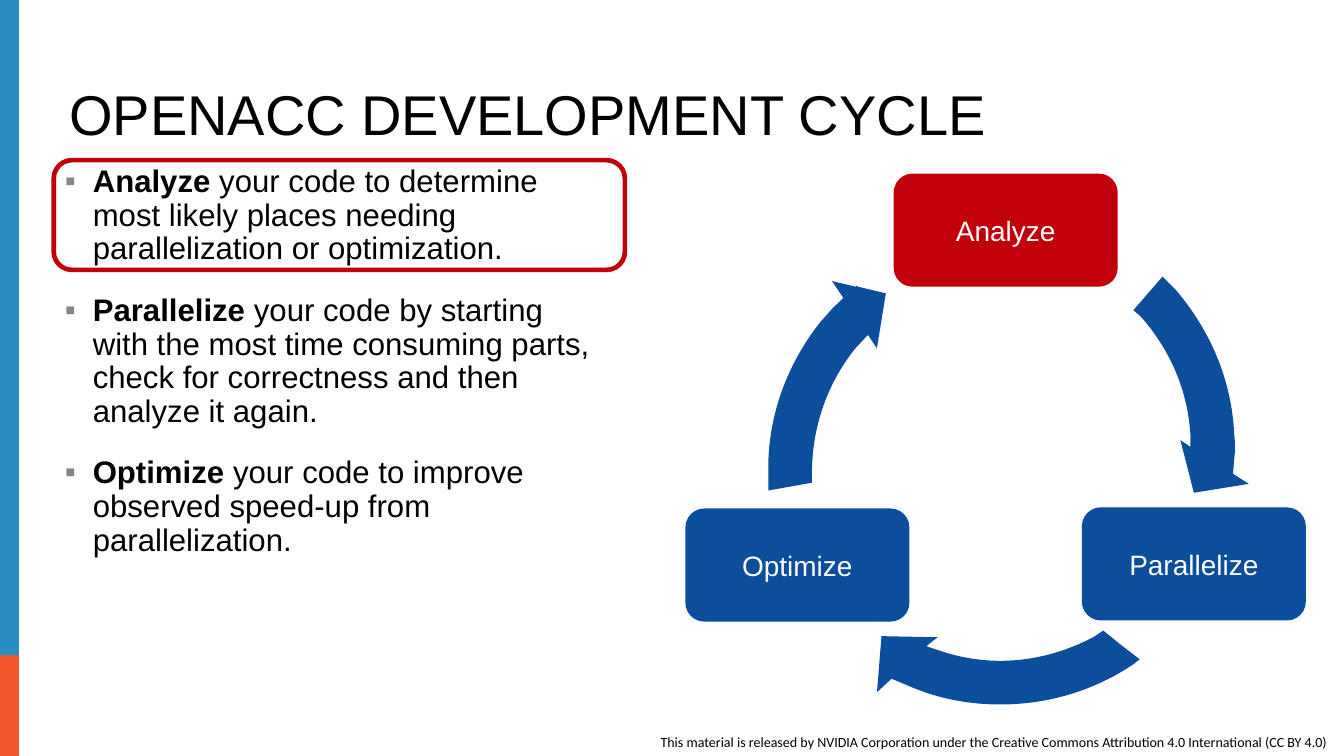
from math import cos, radians, sin
from typing import NamedTuple

from lxml import etree
from pptx import Presentation
from pptx.dml.color import RGBColor
from pptx.enum.shapes import MSO_SHAPE
from pptx.enum.text import MSO_ANCHOR, PP_ALIGN
from pptx.oxml.ns import qn
from pptx.util import Inches, Pt

RECTANGLE = MSO_SHAPE.RECTANGLE
ROUNDED = MSO_SHAPE.ROUNDED_RECTANGLE
CENTER = PP_ALIGN.CENTER
TOP, MIDDLE, BOTTOM = MSO_ANCHOR.TOP, MSO_ANCHOR.MIDDLE, MSO_ANCHOR.BOTTOM

COLORS = {
    "blue": "0C4E9B", "red": "C2000B", "sky": "298EC2", "orange": "F1562D",
    "bullet": "868686", "black": "000000", "white": "FFFFFF",
}


class Box(NamedTuple):
    left: float
    top: float
    width: float
    height: float


class Step(NamedTuple):
    name: str
    description: str
    left: float
    top: float
    color: str


class Arrow(NamedTuple):
    center: tuple
    rotation: float
    start: tuple
    segments: list  # two numbers: line to a point; six numbers: cubic curve


ANALYZE = Step("Analyze", " your code to determine most likely places needing "
               "parallelization or optimization.", 7.98, 1.55, "red")
PARALLELIZE = Step("Parallelize", " your code by starting with the most time consuming "
                   "parts, check for correctness and then analyze it again.",
                   9.66, 4.53, "blue")
OPTIMIZE = Step("Optimize", " your code to improve observed speed-up from "
                "parallelization.", 6.12, 4.54, "blue")

# Outlines as they lie on the slide, after rotation
ARROWS = [
    # Optimize to Analyze
    Arrow((7.36, 3.4), 347, (7.43, 2.51), [
        (7.64, 2.56), (7.65, 2.55), (7.66, 2.56),
        (7.91, 2.62), (7.83, 3.11), (7.75, 2.99), (7.63, 3.12),
        (7.37, 3.45, 7.25, 3.84, 7.25, 4.23), (7.25, 4.31), (6.86, 4.38), (6.86, 4.18),
        (6.86, 3.72, 7.02, 3.26, 7.33, 2.87), (7.38, 2.82, 7.42, 2.76, 7.48, 2.71),
        (7.53, 2.66)]),
    # Parallelize to Optimize
    Arrow((8.9, 5.95), 128, (9.85, 5.63), [
        (10.01, 5.76), (10.01, 5.76), (10.18, 5.89), (10.17, 5.89), (10.12, 5.93),
        (9.78, 6.16, 9.37, 6.29, 8.93, 6.29), (8.66, 6.29, 8.39, 6.24, 8.15, 6.14),
        (7.96, 6.06), (7.83, 6.18), (7.87, 5.68), (8.37, 5.69), (8.27, 5.77), (8.42, 5.82),
        (8.58, 5.87, 8.75, 5.9, 8.93, 5.9), (9.23, 5.9, 9.51, 5.82, 9.76, 5.69)]),
    # Analyze to Parallelize
    Arrow((10.64, 3.54), 311.4, (10.38, 2.47), [
        (10.5, 2.59),
        (10.8, 2.94, 11, 3.39, 11.02, 3.88), (11.03, 3.95, 11.03, 4.03, 11.02, 4.1),
        (11.01, 4.23), (11.15, 4.32), (10.66, 4.4), (10.54, 3.93), (10.63, 3.99), (10.63, 3.9),
        (10.61, 3.48, 10.44, 3.11, 10.18, 2.82), (10.12, 2.77)]),
]


def rgb(name: str) -> RGBColor:
    return RGBColor.from_string(COLORS[name])


def format_font(font, size: float, color: str, name: str = "Arial") -> None:
    font.size, font.name = Pt(size), name
    font.color.rgb = rgb(color)


def fill_shape(shape, color: str) -> None:
    shape.shadow.inherit = False
    shape.fill.solid()
    shape.fill.fore_color.rgb = rgb(color)
    shape.line.fill.background()


def add_block(slide, kind, box: Box, color: str):
    shape = slide.shapes.add_shape(kind, *map(Inches, box))
    fill_shape(shape, color)
    return shape


def add_text_box(slide, box: Box, anchor=TOP):
    text_frame = slide.shapes.add_textbox(*map(Inches, box)).text_frame
    text_frame.word_wrap = True
    text_frame.vertical_anchor = anchor
    return text_frame


def add_line_of_text(slide, box: Box, text: str, size: float, font: str, anchor=TOP) -> None:
    text_frame = add_text_box(slide, box, anchor)
    text_frame.text = text
    paragraph = text_frame.paragraphs[0]
    paragraph.line_spacing = 0.9 if anchor == BOTTOM else 1.0
    format_font(paragraph.runs[0].font, size, "black", font)


def add_bullet(paragraph) -> None:
    properties = paragraph._p.get_or_add_pPr()
    properties.set("marL", str(Inches(0.25)))
    properties.set("indent", str(Inches(-0.25)))
    color = etree.SubElement(properties, qn("a:buClr"))
    etree.SubElement(color, qn("a:srgbClr")).set("val", COLORS["bullet"])
    etree.SubElement(properties, qn("a:buFont")).set("typeface", "Arial")
    etree.SubElement(properties, qn("a:buChar")).set("char", "▪")


def add_descriptions(slide, box: Box, steps: list[Step]) -> None:
    text_frame = add_text_box(slide, box)
    for index, step in enumerate(steps):
        paragraph = text_frame.add_paragraph() if index else text_frame.paragraphs[0]
        add_bullet(paragraph)
        paragraph.line_spacing = 0.9
        paragraph.space_before = Pt(9 if index else 0)
        paragraph.space_after = Pt(9)
        for text, bold in ((step.name, True), (step.description, False)):
            run = paragraph.add_run()
            run.text = text
            format_font(run.font, 20, "black")
            run.font.bold = bold


def add_step(slide, step: Step) -> None:
    shape = add_block(slide, ROUNDED, Box(step.left, step.top, 2, 1.01), step.color)
    shape.text_frame.text = step.name
    shape.text_frame.vertical_anchor = MIDDLE
    paragraph = shape.text_frame.paragraphs[0]
    paragraph.alignment = CENTER
    format_font(paragraph.runs[0].font, 18, "white")


def rotate(point: tuple, center: tuple, degrees: float) -> tuple:
    x, y = point[0] - center[0], point[1] - center[1]
    cosine, sine = cos(radians(degrees)), sin(radians(degrees))
    return center[0] + x * cosine - y * sine, center[1] + x * sine + y * cosine


def add_arrow(slide, arrow: Arrow) -> None:
    points = [arrow.start]
    for segment in arrow.segments:
        points += zip(segment[::2], segment[1::2])
    upright = [tuple(map(Inches, rotate(point, arrow.center, -arrow.rotation)))
               for point in points]
    builder = slide.shapes.build_freeform(*upright[0])
    builder.add_line_segments(upright[1:], close=True)
    shape = builder.convert_to_shape()
    fill_shape(shape, "blue")

    # Turn each run of three control points into one curve
    lines = iter(list(shape._element.iter(qn("a:lnTo"))))
    for segment in arrow.segments:
        line = next(lines)
        if len(segment) == 6:
            line.tag = qn("a:cubicBezTo")
            for control in (next(lines), next(lines)):
                line.append(control[0])
                control.getparent().remove(control)

    # Turn the shape about the arrow's center
    middle = (shape.left + shape.width / 2, shape.top + shape.height / 2)
    x, y = rotate(middle, tuple(map(Inches, arrow.center)), arrow.rotation)
    shape.left, shape.top = int(x - shape.width / 2), int(y - shape.height / 2)
    shape.rotation = arrow.rotation


def main() -> None:
    presentation = Presentation()
    presentation.slide_width, presentation.slide_height = Inches(12), Inches(6.75)
    slide = presentation.slides.add_slide(presentation.slide_layouts[6])

    # Side band
    add_block(slide, RECTANGLE, Box(-0.03, 5.07, 0.2, 1.68), "orange")
    add_block(slide, RECTANGLE, Box(-0.03, 0, 0.2, 5.85), "sky")

    # Licence line, title and descriptions
    add_line_of_text(slide, Box(5.8, 6.5, 6.76, 0.25),
                     "This material is released by NVIDIA Corporation under the "
                     "Creative Commons Attribution 4.0 International (CC BY 4.0)", 9, "Calibri")
    add_line_of_text(slide, Box(0.52, 0.72, 10.91, 0.65),
                     "OPENACC DEVELOPMENT CYCLE", 36, "Arial", BOTTOM)
    add_descriptions(slide, Box(0.48, 1.43, 5.01, 4.48), [ANALYZE, PARALLELIZE, OPTIMIZE])

    # Cycle diagram
    add_step(slide, PARALLELIZE)
    add_step(slide, OPTIMIZE)
    for arrow in ARROWS:
        add_arrow(slide, arrow)
    add_step(slide, ANALYZE)

    # Frame around the current step
    frame = slide.shapes.add_shape(ROUNDED, *map(Inches, Box(0.48, 1.43, 5.1, 0.98)))
    frame.shadow.inherit = False
    frame.fill.background()
    frame.line.color.rgb = rgb("red")
    frame.line.width = Pt(3)

    presentation.save("out.pptx")


if __name__ == "__main__":
    main()
